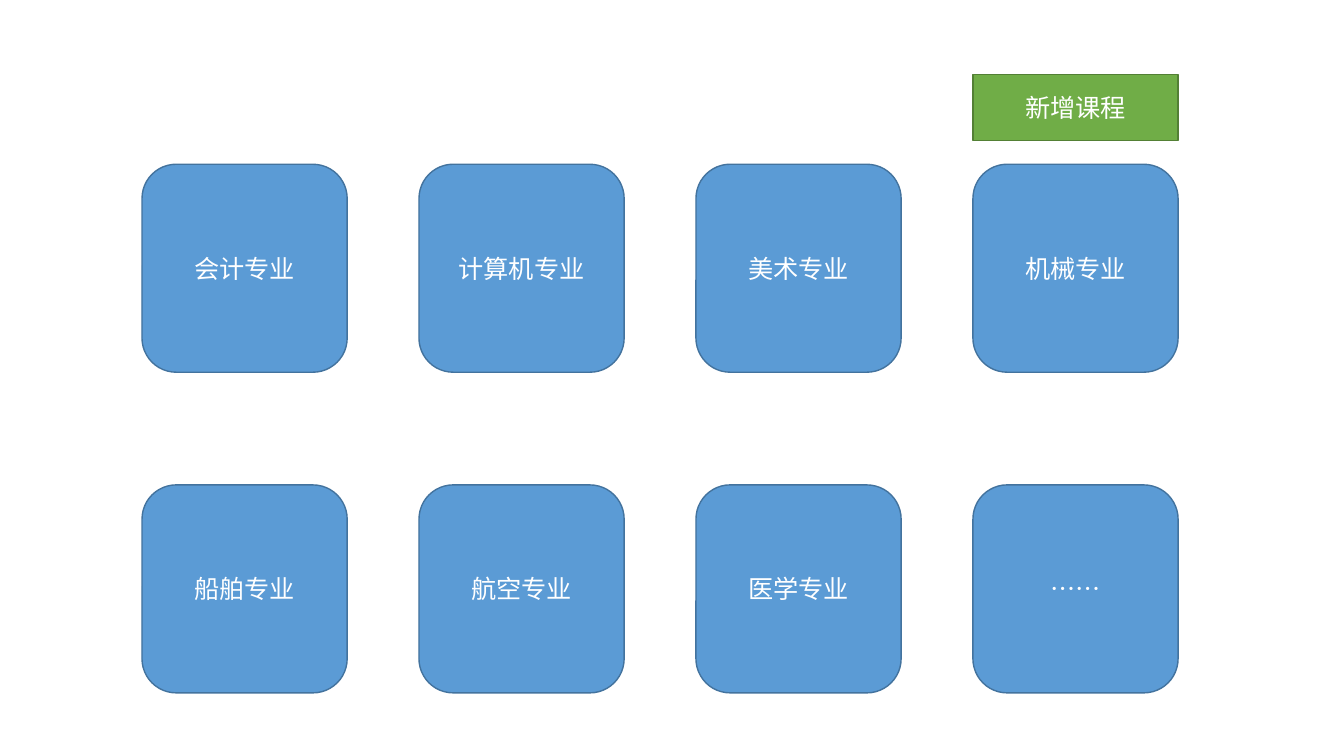
from dataclasses import dataclass

from lxml.etree import SubElement
from pptx import Presentation
from pptx.dml.color import RGBColor
from pptx.enum.shapes import MSO_SHAPE
from pptx.enum.text import MSO_ANCHOR, PP_ALIGN
from pptx.oxml.ns import qn
from pptx.util import Cm, Pt


@dataclass(frozen=True)
class Theme:
    font: str = "Noto Sans CJK SC"
    size: int = 18
    text: str = "FFFFFF"
    blue: tuple = ("5B9BD5", "43739E")
    green: tuple = ("70AD47", "538035")
    line: int = 1


def write(frame, text, *, font, size, color, align=PP_ALIGN.CENTER):
    frame.word_wrap = True
    frame.vertical_anchor = MSO_ANCHOR.MIDDLE
    para = frame.paragraphs[0]
    para.alignment = align
    run = para.add_run()
    run.text = text
    run.font.size = Pt(size)
    run.font.color.rgb = RGBColor.from_string(color)
    run.font.name = font
    props = run._r.get_or_add_rPr()
    props.set("lang", "zh-CN")
    SubElement(props, qn("a:ea")).set("typeface", font)


class Board:
    """Draws styled elements on the current slide."""

    def __init__(self, slide, theme):
        self.slide = slide
        self.theme = theme

    def box(self, kind, text, place, colors):
        shape = self.slide.shapes.add_shape(kind, *map(Cm, place))
        shape.shadow.inherit = False
        fill, line = map(RGBColor.from_string, colors)
        shape.fill.solid()
        shape.fill.fore_color.rgb = fill
        shape.line.color.rgb = line
        shape.line.width = Pt(self.theme.line)
        write(shape.text_frame, text, font=self.theme.font,
              size=self.theme.size, color=self.theme.text)

    def card(self, text, place):
        self.box(MSO_SHAPE.ROUNDED_RECTANGLE, text, place, self.theme.blue)

    def tag(self, text, place):
        self.box(MSO_SHAPE.RECTANGLE, text, place, self.theme.green)


MAJORS = [
    ["会计专业", "计算机专业", "美术专业", "机械专业"],
    ["船舶专业", "航空专业", "医学专业", "……"],
]
LEFT, TOP = 3.58, 4.14
WIDTH, HEIGHT = 5.17, 5.24
STEP_X, STEP_Y = 6.98, 8.08


def main():
    deck = Presentation()
    deck.slide_width, deck.slide_height = Cm(33.87), Cm(19.05)
    board = Board(deck.slides.add_slide(deck.slide_layouts[6]), Theme())
    for row, names in enumerate(MAJORS):
        for col, name in enumerate(names):
            board.card(name, (LEFT + col * STEP_X, TOP + row * STEP_Y,
                              WIDTH, HEIGHT))
    board.tag("新增课程", (LEFT + 3 * STEP_X, 1.88, WIDTH, 1.66))
    deck.save("out.pptx")


if __name__ == "__main__":
    main()
